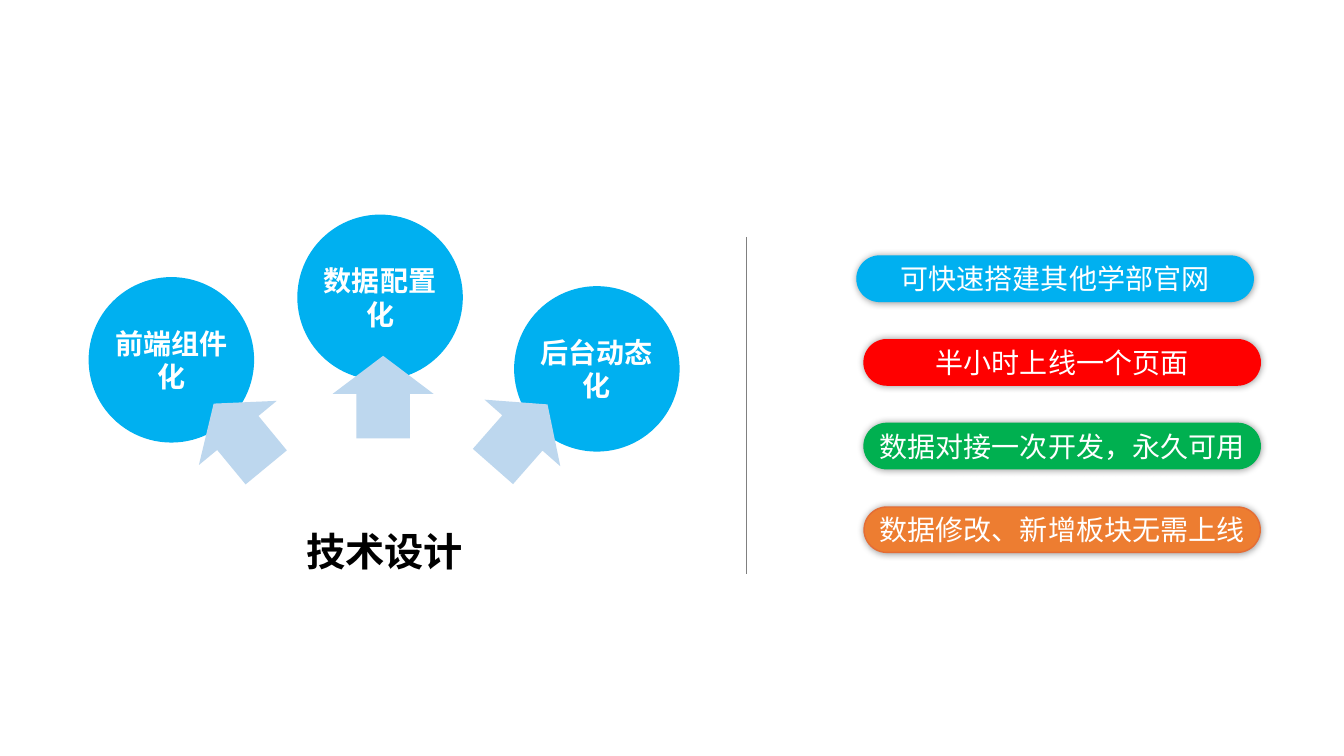
from lxml import etree
from pptx import Presentation
from pptx.dml.color import RGBColor
from pptx.enum.shapes import MSO_CONNECTOR, MSO_SHAPE
from pptx.enum.text import MSO_ANCHOR, MSO_AUTO_SIZE, PP_ALIGN
from pptx.oxml.ns import qn
from pptx.util import Inches, Pt

CENTER = PP_ALIGN.CENTER
MIDDLE = MSO_ANCHOR.MIDDLE
FIT_SHAPE = MSO_AUTO_SIZE.SHAPE_TO_FIT_TEXT
OVAL = MSO_SHAPE.OVAL
ARROW = MSO_SHAPE.UP_ARROW
PILL = MSO_SHAPE.ROUNDED_RECTANGLE
STRAIGHT = MSO_CONNECTOR.STRAIGHT

FONT = "Noto Sans CJK SC"
BLUE = "00B0F0"
WHITE = "FFFFFF"


def color(hex_code):
    return RGBColor.from_string(hex_code)


def write(box, text, size, hex_code, bold, side, edge):
    """Put one centred line of text in a box, with side and edge insets in inches."""
    frame = box.text_frame
    frame.word_wrap = True
    frame.margin_left = frame.margin_right = Inches(side)
    frame.margin_top = frame.margin_bottom = Inches(edge)
    para = frame.paragraphs[0]
    para.alignment = CENTER
    span = para.add_run()
    span.text = text
    span.font.size = Pt(size)
    span.font.bold = bold
    span.font.color.rgb = color(hex_code)
    span.font.name = FONT
    etree.SubElement(span.font._element, qn("a:ea"), typeface=FONT)
    return frame


deck = Presentation()
deck.slide_width = Inches(13.33)
deck.slide_height = Inches(7.5)
page = deck.slides.add_slide(deck.slide_layouts[6])
shapes = page.shapes

# Three design principles
DIAMETER = Inches(1.6)
principles = [
    ("前端组件化", 0.9, 2.77),
    ("后台动态化", 5.12, 2.86),
    ("数据配置化", 2.97, 2.15),
]
for text, left, top in principles:
    circle = shapes.add_shape(OVAL, Inches(left), Inches(top), DIAMETER, DIAMETER)
    circle.shadow.inherit = False
    circle.fill.solid()
    circle.fill.fore_color.rgb = color(BLUE)
    circle.line.color.rgb = color(BLUE)
    circle.line.width = Pt(3)
    write(circle, text, 20, WHITE, True, 0, 0.05).vertical_anchor = MIDDLE

# Arrows fanning out from the heading to the circles
for left, top, angle in [(3.3, 3.53, 0), (1.88, 3.91, 320.5), (4.66, 3.91, 41.3)]:
    arrow = shapes.add_shape(ARROW, Inches(left), Inches(top), Inches(1), Inches(0.82))
    arrow.rotation = angle
    arrow.adjustments[0] = 0.53
    arrow.adjustments[1] = 0.46
    arrow.shadow.inherit = False
    arrow.fill.solid()
    arrow.fill.fore_color.rgb = color("BDD7EE")
    arrow.line.fill.background()

heading = shapes.add_textbox(Inches(0.9), Inches(5.04), Inches(5.83), Inches(1.26))
heading_frame = write(heading, "技术设计", 28, "000000", True, 0.1, 0.05)
heading_frame.auto_size = FIT_SHAPE
heading_frame.paragraphs[0].line_spacing = 1.3

divider = shapes.add_connector(STRAIGHT, Inches(7.4), Inches(2.35), Inches(7.4), Inches(5.69))
divider.line.color.rgb = color("808080")
divider.line.width = Pt(0.5)
etree.SubElement(divider._element.spPr, qn("a:effectLst"))

# Benefits, evenly stacked
FIRST_TOP, STEP = 2.54, 0.83
benefits = [
    ("可快速搭建其他学部官网", 8.5, BLUE, BLUE),
    ("半小时上线一个页面", 8.57, "FF0000", "FF0000"),
    ("数据对接一次开发，永久可用", 8.57, "00B050", "00B050"),
    ("数据修改、新增板块无需上线", 8.57, "ED7D31", "E46D35"),
]
for row, (text, left, fill, outline) in enumerate(benefits):
    top = FIRST_TOP + row * STEP
    pill = shapes.add_shape(PILL, Inches(left), Inches(top), Inches(3.93), Inches(0.45))
    pill.adjustments[0] = 0.5
    pill.fill.solid()
    pill.fill.fore_color.rgb = color(fill)
    pill.line.color.rgb = color(outline)
    pill.line.width = Pt(1)
    pill.shadow.inherit = False
    effects = pill._element.spPr.find(qn("a:effectLst"))
    glow = etree.SubElement(effects, qn("a:outerShdw"), blurRad=str(Pt(5)), dist="0", dir="0")
    shade = etree.SubElement(glow, qn("a:srgbClr"), val="000000")
    etree.SubElement(shade, qn("a:alpha"), val="40000")
    write(pill, text, 20, WHITE, False, 0, 0).vertical_anchor = MIDDLE

deck.save("out.pptx")
